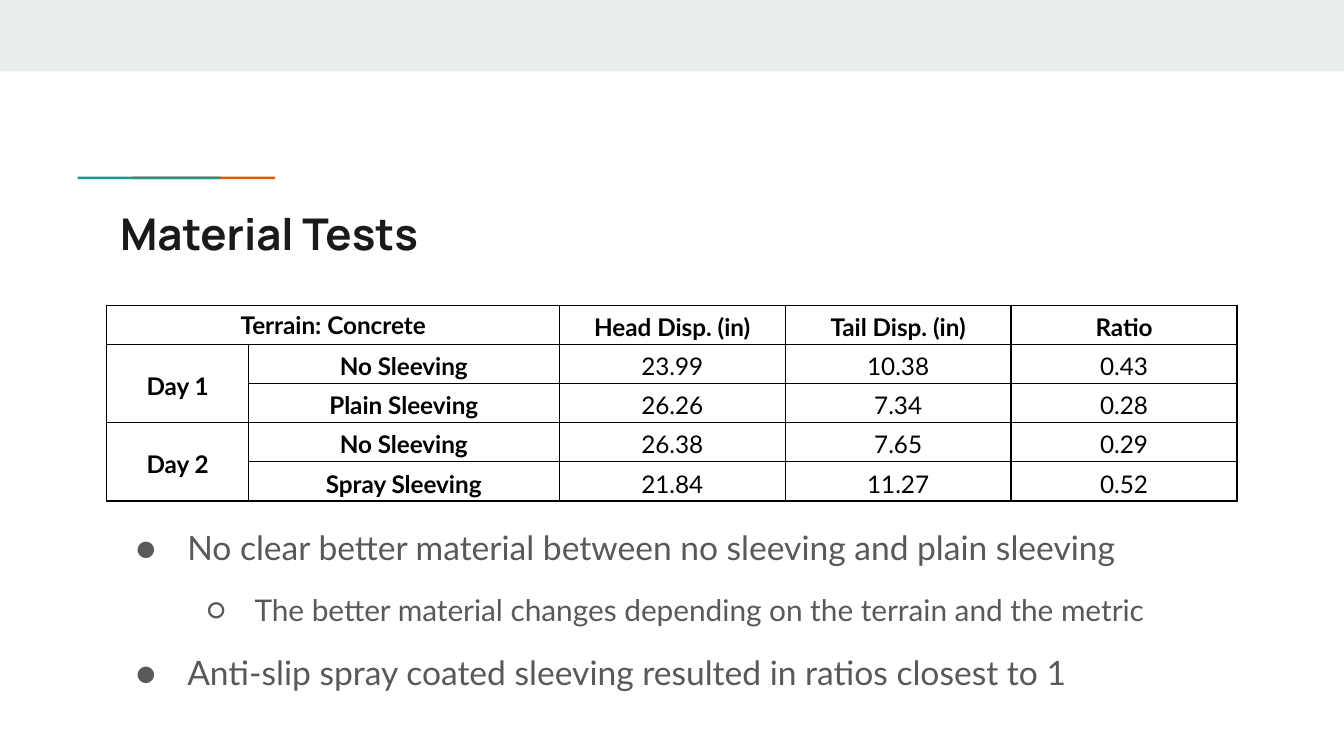
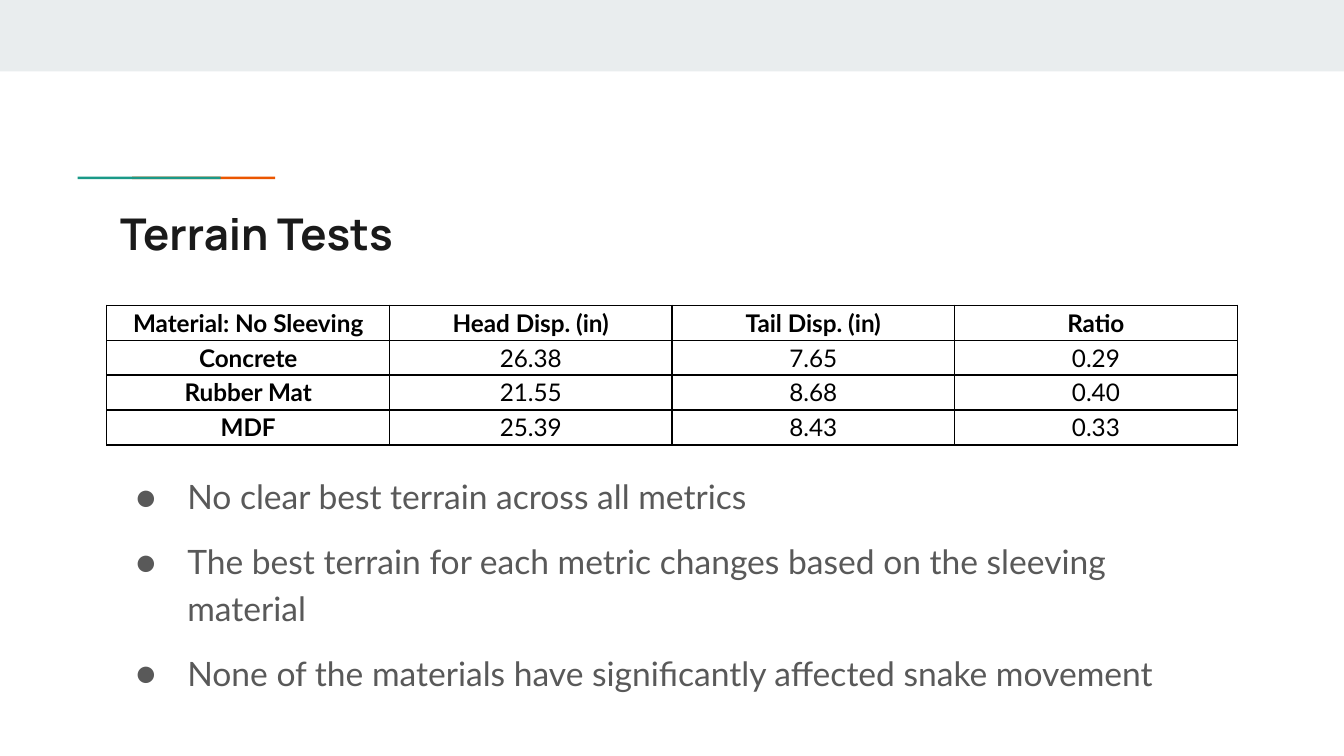
from lxml.etree import SubElement
from pptx import Presentation
from pptx.dml.color import RGBColor
from pptx.enum.shapes import MSO_SHAPE
from pptx.enum.text import MSO_ANCHOR, MSO_AUTO_SIZE, PP_ALIGN
from pptx.oxml.ns import qn
from pptx.util import Cm, Pt

SLIDES = [
    {
        "title": "Material Tests",
        "columns": [2.67, 5.88, 4.27, 4.27, 4.27],
        "row_height": 0.74,
        "label_columns": 2,
        "line_spacing": 1.15,
        "space_after": 0.5,
        "merges": [(0, 0, 0, 1), (1, 0, 2, 0), (3, 0, 4, 0)],
        "rows": [
            ["Terrain: Concrete", None, "Head Disp. (in)", "Tail Disp. (in)", "Ratio"],
            ["Day 1", "No Sleeving", "23.99", "10.38", "0.43"],
            [None, "Plain Sleeving", "26.26", "7.34", "0.28"],
            ["Day 2", "No Sleeving", "26.38", "7.65", "0.29"],
            [None, "Spray Sleeving", "21.84", "11.27", "0.52"],
        ],
        "body_box": (9.6, 2.44),
        "bullets": [
            (0, "No clear better material between no sleeving and plain sleeving"),
            (1, "The better material changes depending on the terrain and the metric"),
            (0, "Anti-slip spray coated sleeving resulted in ratios closest to 1"),
        ],
    },
    {
        "title": "Terrain Tests",
        "columns": [5.34] * 4,
        "row_height": 0.66,
        "label_columns": 1,
        "line_spacing": 1.0,
        "space_after": 1,
        "merges": [],
        "rows": [
            ["Material: No Sleeving", "Head Disp. (in)", "Tail Disp. (in)", "Ratio"],
            ["Concrete", "26.38", "7.65", "0.29"],
            ["Rubber Mat", "21.55", "8.68", "0.40"],
            ["MDF", "25.39", "8.43", "0.33"],
        ],
        "body_box": (8.64, 3.43),
        "bullets": [
            (0, "No clear best terrain across all metrics"),
            (0, "The best terrain for each metric changes based on the sleeving material"),
            (0, "None of the materials have significantly affected snake movement"),
        ],
    },
]

SLIDE_WIDTH, SLIDE_HEIGHT = 25.4, 14.29
LEFT, CONTENT_WIDTH = 2.02, 21.36
TITLE_TOP, TITLE_HEIGHT = 3.66, 1.5
TABLE_TOP = 5.77
DECORATIONS = [
    ("E9EDEE", 0, 0, SLIDE_WIDTH, 1.35),
    ("EB5600", 2.5, 3.34, 2.7, 0.05),
    ("1A9988", 1.47, 3.34, 2.7, 0.05),
]
TITLE_FONT = {"name": "Manrope", "size": Pt(23.4), "bold": True, "color": "1A1A1A"}
CELL_FONT = {"name": "Lato", "size": Pt(13), "color": "000000"}
BULLET_LEVELS = [
    {"character": "●", "margin": 1.27, "indent": -0.97, "size": 18},
    {"character": "○", "margin": 2.54, "indent": -0.91, "size": 16},
]
BODY_COLOR = "595959"
BORDER_COLOR = "000000"
CELL_FORMAT = {
    "margin_left": Cm(0.08),
    "margin_right": Cm(0.08),
    "margin_top": Cm(0.05),
    "margin_bottom": Cm(0.05),
    "vertical_anchor": MSO_ANCHOR.MIDDLE,
}
FRAME_FORMAT = {
    "margin_left": Cm(0.25),
    "margin_right": Cm(0.25),
    "margin_top": Cm(0.25),
    "margin_bottom": Cm(0.25),
    "word_wrap": True,
    "auto_size": MSO_AUTO_SIZE.NONE,
}


def rgb(color):
    return RGBColor.from_string(color)


def apply(target, values):
    for name, value in values.items():
        if name == "color":
            target.color.rgb = rgb(value)
        else:
            setattr(target, name, value)


def place(shape, left, top, width, height):
    apply(shape, {"left": Cm(left), "top": Cm(top), "width": Cm(width), "height": Cm(height)})


def add_solid_fill(parent, color):
    fill = SubElement(parent, qn("a:solidFill"))
    SubElement(fill, qn("a:srgbClr"), val=color)


def decorate_layout(layout, slide):
    for position, (color, *box) in enumerate(DECORATIONS, start=2):
        shape = slide.shapes.add_shape(MSO_SHAPE.RECTANGLE, *map(Cm, box))
        shape.shadow.inherit = False
        shape.fill.solid()
        shape.fill.fore_color.rgb = rgb(color)
        shape.line.fill.background()
        layout.shapes._spTree.insert(position, shape._element)


def add_title(slide, text):
    title = slide.shapes.title
    place(title, LEFT, TITLE_TOP, CONTENT_WIDTH, TITLE_HEIGHT)
    apply(title.text_frame, FRAME_FORMAT | {"vertical_anchor": MSO_ANCHOR.MIDDLE})
    title.text_frame.text = text
    paragraph = title.text_frame.paragraphs[0]
    paragraph.alignment = PP_ALIGN.LEFT
    apply(paragraph.runs[0].font, TITLE_FONT)


def add_bullet(paragraph, level):
    properties = paragraph._p.get_or_add_pPr()
    properties.set("marL", str(Cm(level["margin"])))
    properties.set("indent", str(Cm(level["indent"])))
    color = SubElement(properties, qn("a:buClr"))
    SubElement(color, qn("a:srgbClr"), val=BODY_COLOR)
    SubElement(properties, qn("a:buFont"), typeface="Lato")
    SubElement(properties, qn("a:buChar"), char=level["character"])


def add_body(slide, box, bullets):
    body = slide.placeholders[1]
    top, height = box
    place(body, LEFT, top, CONTENT_WIDTH, height)
    frame = body.text_frame
    apply(frame, FRAME_FORMAT | {"vertical_anchor": MSO_ANCHOR.TOP})
    for index, (depth, text) in enumerate(bullets):
        paragraph = frame.add_paragraph() if index else frame.paragraphs[0]
        level = BULLET_LEVELS[depth]
        add_bullet(paragraph, level)
        apply(paragraph, {
            "level": depth,
            "alignment": PP_ALIGN.LEFT,
            "line_spacing": 1.15,
            "space_before": Pt(10 if index else 0),
            "space_after": Pt(10 if index == len(bullets) - 1 else 0),
        })
        run = paragraph.add_run()
        run.text = text
        apply(run.font, {"name": "Lato", "size": Pt(level["size"]), "color": BODY_COLOR})


def format_cell(cell):
    apply(cell, CELL_FORMAT)
    properties = cell._tc.get_or_add_tcPr()
    for side in ("lnL", "lnR", "lnT", "lnB"):
        border = SubElement(properties, qn(f"a:{side}"), w=str(Pt(0.75)))
        add_solid_fill(border, BORDER_COLOR)
    cell.fill.background()


def add_results_table(slide, content):
    rows, columns, row_height = content["rows"], content["columns"], content["row_height"]
    frame = slide.shapes.add_table(
        len(rows), len(columns), Cm(LEFT), Cm(TABLE_TOP),
        Cm(sum(columns)), Cm(row_height * len(rows)))
    table = frame.table
    apply(table, {"first_row": False, "horz_banding": False})
    for column, width in zip(table.columns, columns):
        column.width = Cm(width)
    for row in table.rows:
        row.height = Cm(row_height)
    for top, left, bottom, right in content["merges"]:
        table.cell(top, left).merge(table.cell(bottom, right))
    for row_index, row in enumerate(rows):
        for column_index, text in enumerate(row):
            cell = table.cell(row_index, column_index)
            format_cell(cell)
            if text is None:
                continue
            cell.text = text
            paragraph = cell.text_frame.paragraphs[0]
            is_corner = row_index == column_index == 0
            apply(paragraph, {
                "alignment": PP_ALIGN.CENTER,
                "line_spacing": 1.0 if is_corner else content["line_spacing"],
                "space_after": Pt(content["space_after"]),
            })
            is_label = row_index == 0 or column_index < content["label_columns"]
            apply(paragraph.runs[0].font, CELL_FONT | {"bold": is_label})


def main():
    presentation = Presentation()
    presentation.slide_width = Cm(SLIDE_WIDTH)
    presentation.slide_height = Cm(SLIDE_HEIGHT)
    layout = presentation.slide_layouts[1]
    for index, content in enumerate(SLIDES):
        slide = presentation.slides.add_slide(layout)
        if index == 0:
            decorate_layout(layout, slide)
        add_title(slide, content["title"])
        add_body(slide, content["body_box"], content["bullets"])
        add_results_table(slide, content)
    presentation.save("out.pptx")


if __name__ == "__main__":
    main()
